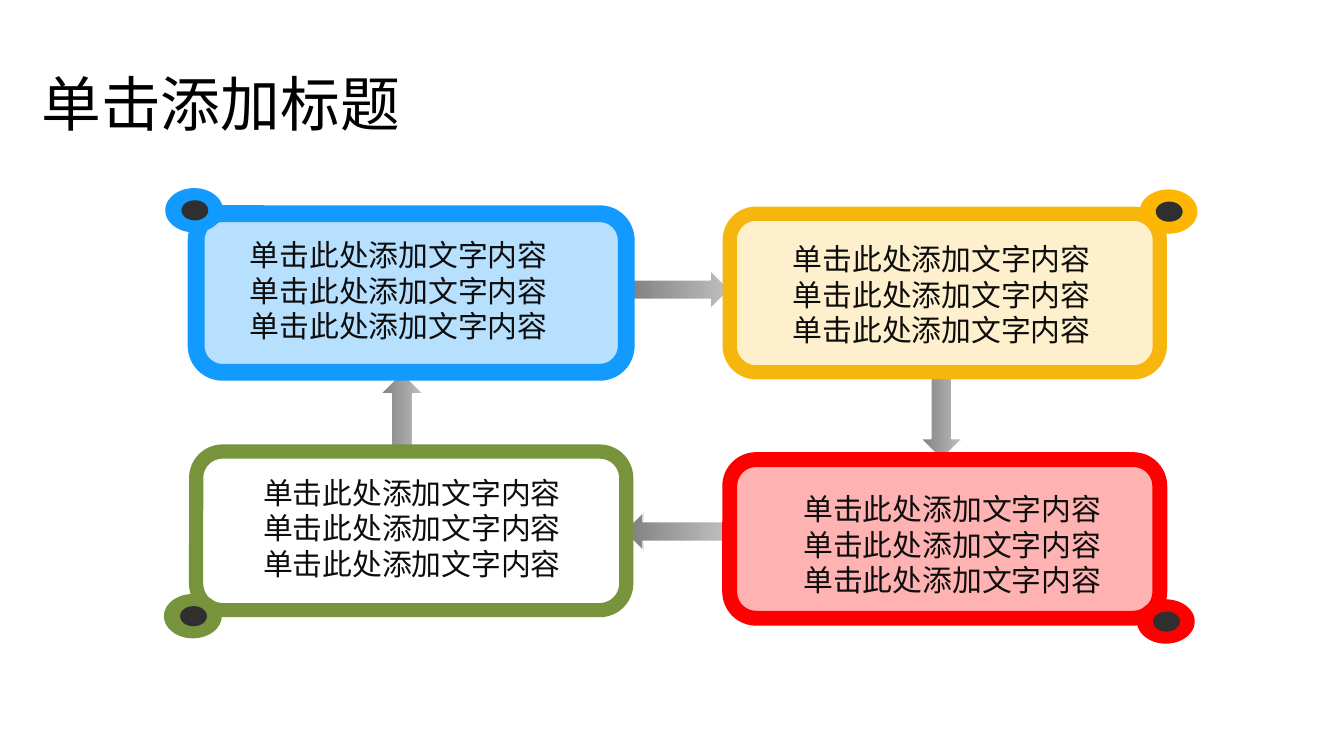
import pptx
import pptx.dml.color
import pptx.enum.shapes
import pptx.enum.text
import pptx.oxml.ns
import pptx.util
from lxml import etree

Inches = pptx.util.Inches
Pt = pptx.util.Pt
Shape = pptx.enum.shapes.MSO_SHAPE
qn = pptx.oxml.ns.qn


def color(value):
    return pptx.dml.color.RGBColor.from_string(value)


class Deck:
    body_font = "Noto Sans CJK SC"
    title_font = "Noto Sans CJK JP"
    body_color = "0D0D0D"
    grip_color = "2F2F2F"

    def __init__(self):
        self.prs = pptx.Presentation()
        self.prs.slide_width = Inches(10)
        self.prs.slide_height = Inches(10 * 9 / 16)
        self.s = self.prs.slides.add_slide(self.prs.slide_layouts[6])

    def shape(self, shapes, kind, box, fill=None, alpha=None):
        sp = shapes.add_shape(kind, *map(Inches, box))
        sp.shadow.inherit = False
        sp.line.fill.background()
        if fill:
            sp.fill.solid()
            sp.fill.fore_color.rgb = color(fill)
        if alpha:
            clr = sp.fill._xPr.find(qn("a:solidFill"))[0]
            etree.SubElement(clr, qn("a:alpha")).set("val", str(alpha * 1000))
        return sp

    def outline(self, sp, value, width):
        sp.line.color.rgb = color(value)
        sp.line.width = Pt(width)

    def arrow(self, kind, box):
        sp = self.shape(self.s.shapes, kind, box)
        sp.fill.gradient()
        sp.fill.gradient_angle = 0
        for stop, value in zip(sp.fill.gradient_stops, ("7F7F7F", "BFBFBF")):
            stop.color.rgb = color(value)
        self.outline(sp, "FFFFFF", 0.75)

    def text(self, shapes, box, lines, size, font, value):
        sp = shapes.add_textbox(*map(Inches, box))
        tf = sp.text_frame
        tf.word_wrap = False
        tf.auto_size = pptx.enum.text.MSO_AUTO_SIZE.SHAPE_TO_FIT_TEXT
        tf.margin_right = Inches(0.05)
        for i, line in enumerate(lines):
            p = tf.paragraphs[0] if i == 0 else tf.add_paragraph()
            p.line_spacing = Pt(size * 1.2)
            r = p.add_run()
            r.text = line
            r.font.size = Pt(size)
            r.font.color.rgb = color(value)
            r.font.name = font
            etree.SubElement(r.font._element, qn("a:ea")).set("typeface", font)

    def panel(self, left, top, fill, alpha, border, width, text_at, knob_at, knob):
        shapes = self.s.shapes.add_group_shape().shapes
        sp = self.shape(shapes, Shape.ROUNDED_RECTANGLE, (left, top, 3.2, 1.18), fill, alpha)
        self.outline(sp, border, width)
        self.text(shapes, (*text_at, 2.41, 0.9), ["单击此处添加文字内容"] * 3,
                  16, self.body_font, self.body_color)
        x, y = knob_at
        self.shape(shapes, Shape.OVAL, (x, y, 0.43, 0.33), knob)
        self.shape(shapes, Shape.OVAL, (x + 0.12, y + 0.09, 0.2, 0.15), self.grip_color)


def main():
    deck = Deck()
    for kind, box in (
        (Shape.RIGHT_ARROW, (4.66, 2.01, 0.77, 0.29)),
        (Shape.DOWN_ARROW, (6.85, 2.77, 0.31, 0.65)),
        (Shape.LEFT_ARROW, (4.64, 3.81, 0.77, 0.29)),
        (Shape.UP_ARROW, (2.83, 2.77, 0.32, 0.59)),
    ):
        deck.arrow(kind, box)

    blue, green, amber, red = "139AFF", "77933C", "FDB602", "FF0000"
    for panel in (
        (1.46, 1.59, blue, 30, blue, 9, (1.76, 1.71), (1.23, 1.4), blue),
        (1.46, 3.36, "FFFFFF", 20, green, 7.63, (1.86, 3.48), (1.22, 4.42), green),
        (5.43, 1.59, amber, 20, "F7B60D", 7.63, (5.8, 1.74), (8.48, 1.41), amber),
        (5.43, 3.42, red, 30, red, 8, (5.88, 3.6), (8.46, 4.46), red),
    ):
        deck.panel(*panel)

    deck.text(deck.s.shapes, (0.21, 0.45, 2.87, 0.64), ["单击添加标题"],
              32, deck.title_font, "000000")
    deck.prs.save("out.pptx")


if __name__ == "__main__":
    main()
